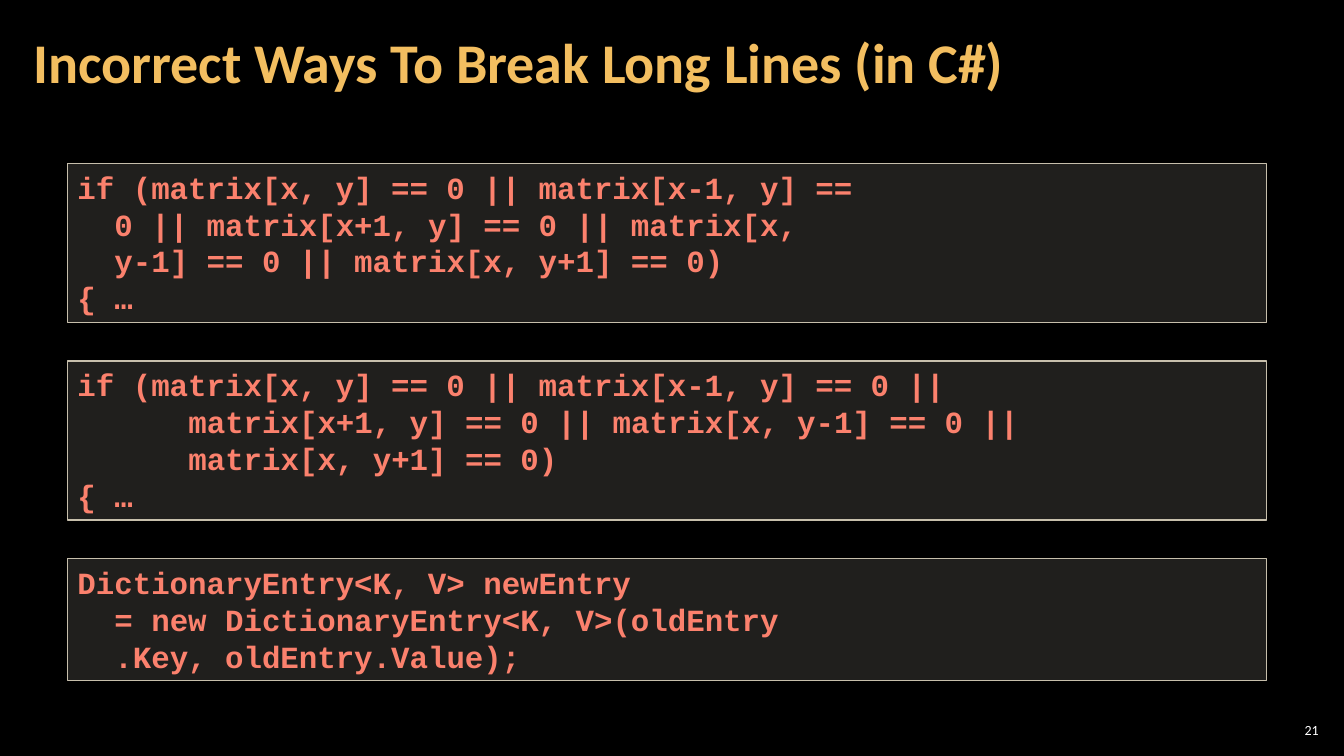
from lxml import etree
from pptx import Presentation
from pptx.dml.color import RGBColor
from pptx.enum.shapes import MSO_SHAPE
from pptx.enum.text import MSO_ANCHOR, MSO_AUTO_SIZE, PP_ALIGN
from pptx.oxml.ns import qn
from pptx.util import Inches, Pt

RECTANGLE = MSO_SHAPE.RECTANGLE
TOP, MIDDLE = MSO_ANCHOR.TOP, MSO_ANCHOR.MIDDLE
LEFT, RIGHT = PP_ALIGN.LEFT, PP_ALIGN.RIGHT
GROW = MSO_AUTO_SIZE.SHAPE_TO_FIT_TEXT

CODE_SIZE = 22
CODE_CHAR_WIDTH = Pt(CODE_SIZE * 0.6)
CODE_LINE_HEIGHT = 0.37
CODE_PADDING = 0.1
CODE_GAP = 0.38

EXAMPLES = [
    [
        (0, "if (matrix[x, y] == 0 || matrix[x-1, y] =="),
        (2, "0 || matrix[x+1, y] == 0 || matrix[x,"),
        (2, "y-1] == 0 || matrix[x, y+1] == 0)"),
        (0, "{ …"),
    ],
    [
        (0, "if (matrix[x, y] == 0 || matrix[x-1, y] == 0 ||"),
        (6, "matrix[x+1, y] == 0 || matrix[x, y-1] == 0 ||"),
        (6, "matrix[x, y+1] == 0)"),
        (0, "{ …"),
    ],
    [
        (0, "DictionaryEntry<K, V> newEntry"),
        (2, "= new DictionaryEntry<K, V>(oldEntry"),
        (2, ".Key, oldEntry.Value);"),
    ],
]


def color(hex_value):
    return RGBColor.from_string(hex_value)


def add_run(paragraph, text, size, font, hex_value, bold=False):
    run = paragraph.add_run()
    run.text = text
    run.font.size = Pt(size)
    run.font.name = font
    run.font.bold = bold
    run.font.color.rgb = color(hex_value)


def add_label(slide, box, text, size, hex_value, align, side_inset, bold=False, spacing=1.0):
    frame = slide.shapes.add_textbox(*map(Inches, box)).text_frame
    frame.word_wrap = True
    frame.vertical_anchor = MIDDLE
    frame.margin_left = frame.margin_right = Inches(side_inset)
    frame.margin_top = frame.margin_bottom = Inches(0.04)
    paragraph = frame.paragraphs[0]
    paragraph.alignment = align
    paragraph.line_spacing = spacing
    add_run(paragraph, text, size, "Calibri", hex_value, bold)


def add_code_panel(slide, box, lines):
    panel = slide.shapes.add_shape(RECTANGLE, *map(Inches, box))
    panel.shadow.inherit = False
    panel.fill.solid()
    panel.fill.fore_color.rgb = color("D9D5C7")
    fill_color = panel.fill._xPr.find(qn("a:solidFill"))[0]
    etree.SubElement(fill_color, qn("a:alpha")).set("val", "15000")
    panel.line.color.rgb = color("C7BFAC")
    panel.line.width = Pt(1)

    frame = panel.text_frame
    frame.word_wrap = True
    frame.auto_size = GROW
    frame.vertical_anchor = TOP
    for index, (indent, code) in enumerate(lines):
        paragraph = frame.add_paragraph() if index else frame.paragraphs[0]
        paragraph.alignment = LEFT
        paragraph._p.get_or_add_pPr().set("marL", str(indent * CODE_CHAR_WIDTH))
        add_run(paragraph, code, CODE_SIZE, "Courier New", "FB816D", True)


def add_examples(slide, left, top, width):
    for lines in EXAMPLES:
        height = len(lines) * CODE_LINE_HEIGHT + CODE_PADDING
        add_code_panel(slide, (left, top, width, height), lines)
        top += height + CODE_GAP


def main():
    presentation = Presentation()
    presentation.slide_width = Inches(13.33)
    presentation.slide_height = Inches(7.5)
    slide = presentation.slides.add_slide(presentation.slide_layouts[6])
    slide.background.fill.solid()
    slide.background.fill.fore_color.rgb = color("000000")

    add_label(slide, (12.65, 7.14, 0.47, 0.21), "21", 10, "FFFFFF", RIGHT, 0.04)
    add_label(slide, (0.21, 0.04, 10.47, 1.21), "Incorrect Ways To Break Long Lines (in C#)",
              40, "F3BE60", LEFT, 0.12, bold=True, spacing=0.9)
    add_examples(slide, 0.67, 1.62, 11.89)
    presentation.save("out.pptx")


if __name__ == "__main__":
    main()
